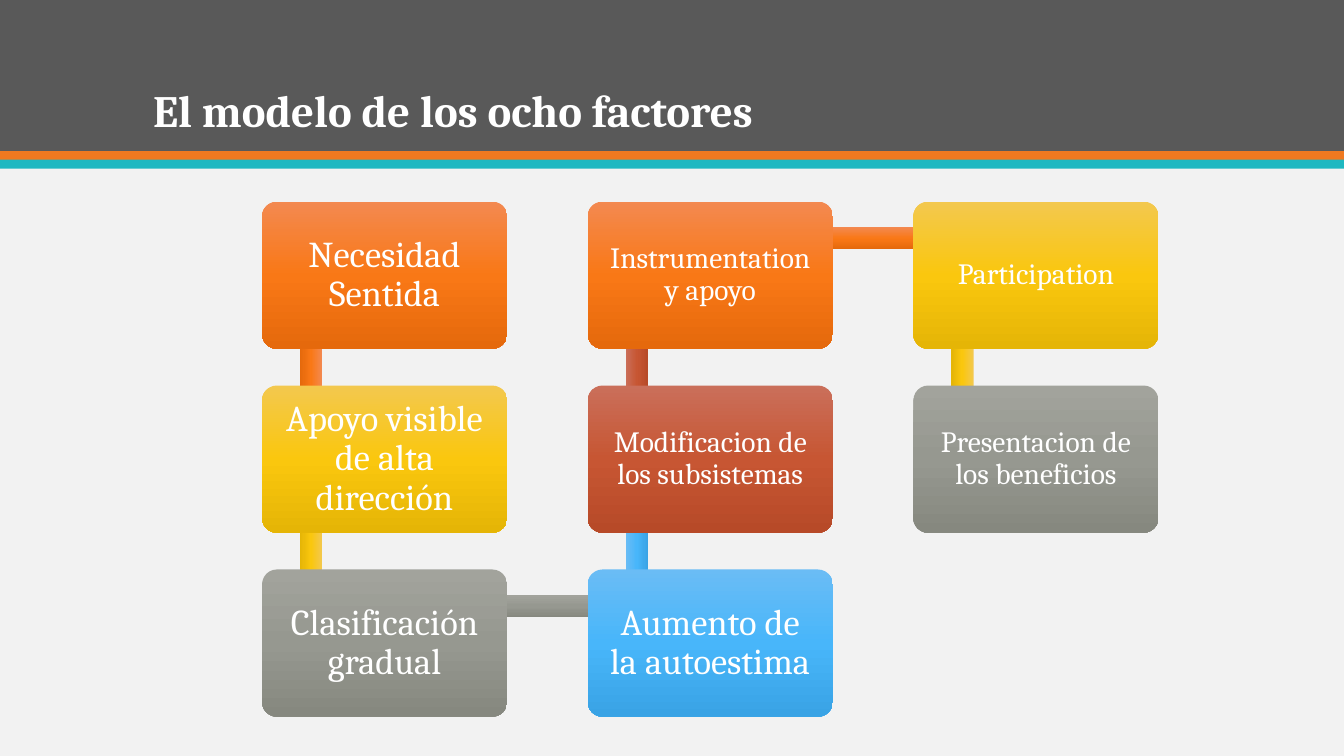
from copy import deepcopy

from pptx import Presentation
from pptx.dml.color import RGBColor
from pptx.enum.shapes import MSO_SHAPE
from pptx.enum.text import MSO_ANCHOR, PP_ALIGN
from pptx.oxml.ns import qn
from pptx.util import Inches, Pt

RECTANGLE, ROUNDED = MSO_SHAPE.RECTANGLE, MSO_SHAPE.ROUNDED_RECTANGLE
MIDDLE, BOTTOM = MSO_ANCHOR.MIDDLE, MSO_ANCHOR.BOTTOM
LEFT, CENTER = PP_ALIGN.LEFT, PP_ALIGN.CENTER

COLORS = {"background": "F2F2F2", "header": "595959", "orange_stripe": "EF7920",
          "teal_stripe": "1EB8C1", "text": "FFFFFF"}
GRADIENTS = {
    "orange": ("F38950", "F97816", "E5690C"),
    "yellow": ("F3C84E", "FAC70E", "E5B506"),
    "gray": ("A2A39C", "969890", "86887F"),
    "blue": ("6ABCF5", "48B6FA", "39A3E5"),
    "red": ("CA6F5A", "C75633", "B74A28"),
}
SLIDE_WIDTH, SLIDE_HEIGHT = 13.33, 7.5
GRID_LEFT, GRID_TOP = 2.6, 2.0
COLUMN_PITCH, ROW_PITCH = 3.23, 1.825
BOX_WIDTH, BOX_HEIGHT = 2.43, 1.46
LINK_THICKNESS = 0.22

FACTORS = [
    ("Necesidad Sentida", 0, 0, "orange", 26),
    ("Apoyo visible de alta dirección", 0, 1, "yellow", 26),
    ("Clasificación gradual", 0, 2, "gray", 26),
    ("Aumento de la autoestima", 1, 2, "blue", 26),
    ("Modificacion de los subsistemas", 1, 1, "red", 21),
    ("Instrumentation y apoyo", 1, 0, "orange", 21),
    ("Participation", 2, 0, "yellow", 21),
    ("Presentacion de los beneficios", 2, 1, "gray", 21),
]


def write_text(shape, text, size, bold=False, align=CENTER, anchor=MIDDLE, inset=None):
    frame = shape.text_frame
    frame.word_wrap = True
    frame.vertical_anchor = anchor
    if inset is not None:
        frame.margin_left = frame.margin_right = Inches(inset)
        frame.margin_top = frame.margin_bottom = Inches(inset)
    paragraph = frame.paragraphs[0]
    paragraph.alignment = align
    paragraph.line_spacing = 0.9
    run = paragraph.add_run()
    run.text = text
    run.font.name = "Cambria"
    run.font.size = Pt(size)
    run.font.bold = bold
    run.font.color.rgb = RGBColor.from_string(COLORS["text"])


class FactorSlide:
    def __init__(self, presentation):
        self.slide = presentation.slides.add_slide(presentation.slide_layouts[6])
        fill = self.slide.background.fill
        fill.solid()
        fill.fore_color.rgb = RGBColor.from_string(COLORS["background"])

    def shape(self, kind, left, top, width, height):
        shape = self.slide.shapes.add_shape(
            kind, Inches(left), Inches(top), Inches(width), Inches(height))
        shape.shadow.inherit = False
        shape.line.fill.background()
        return shape

    def band(self, top, height, color):
        band = self.shape(RECTANGLE, 0, top * SLIDE_HEIGHT, SLIDE_WIDTH, height * SLIDE_HEIGHT)
        band.fill.solid()
        band.fill.fore_color.rgb = RGBColor.from_string(COLORS[color])

    def title(self, text):
        box = self.slide.shapes.add_textbox(
            Inches(1.42), Inches(0.28), Inches(10.5), Inches(1.13))
        write_text(box, text, 32, bold=True, align=LEFT, anchor=BOTTOM)

    def shade(self, shape, gradient):
        shape.fill.gradient()
        shape.fill.gradient_angle = 270
        stop_list = shape.element.spPr.find(qn("a:gradFill")).find(qn("a:gsLst"))
        stop_list.append(deepcopy(stop_list[0]))
        stops = zip(shape.fill.gradient_stops, GRADIENTS[gradient], (0, 0.5, 1))
        for stop, color, position in stops:
            stop.color.rgb = RGBColor.from_string(color)
            stop.position = position

    def link(self, start, end, gradient):
        (column, row), (next_column, next_row) = start, end
        vertical = column == next_column
        length = ROW_PITCH if vertical else COLUMN_PITCH
        center_x = GRID_LEFT + (column + next_column) / 2 * COLUMN_PITCH + 0.2 * BOX_WIDTH
        center_y = GRID_TOP + (row + next_row) / 2 * ROW_PITCH + 0.25 * BOX_HEIGHT
        bar = self.shape(RECTANGLE, center_x - length / 2, center_y - LINK_THICKNESS / 2,
                         length, LINK_THICKNESS)
        if vertical:
            bar.rotation = 90 if next_row > row else 270
        self.shade(bar, gradient)

    def factor(self, text, column, row, gradient, size):
        box = self.shape(ROUNDED, GRID_LEFT + column * COLUMN_PITCH,
                         GRID_TOP + row * ROW_PITCH, BOX_WIDTH, BOX_HEIGHT)
        box.adjustments[0] = 0.1
        self.shade(box, gradient)
        write_text(box, text, size, inset=0.11 if size > 21 else 0.09)


presentation = Presentation()
presentation.slide_width = Inches(SLIDE_WIDTH)
presentation.slide_height = Inches(SLIDE_HEIGHT)

page = FactorSlide(presentation)
page.band(0, 0.2, "header")
page.band(0.2, 0.012, "orange_stripe")
page.band(0.211, 0.012, "teal_stripe")
page.title("El modelo de los ocho factores")

for factor, following in zip(FACTORS, FACTORS[1:] + [None]):
    if following:
        page.link(factor[1:3], following[1:3], factor[3])
    page.factor(*factor)

presentation.save("out.pptx")
